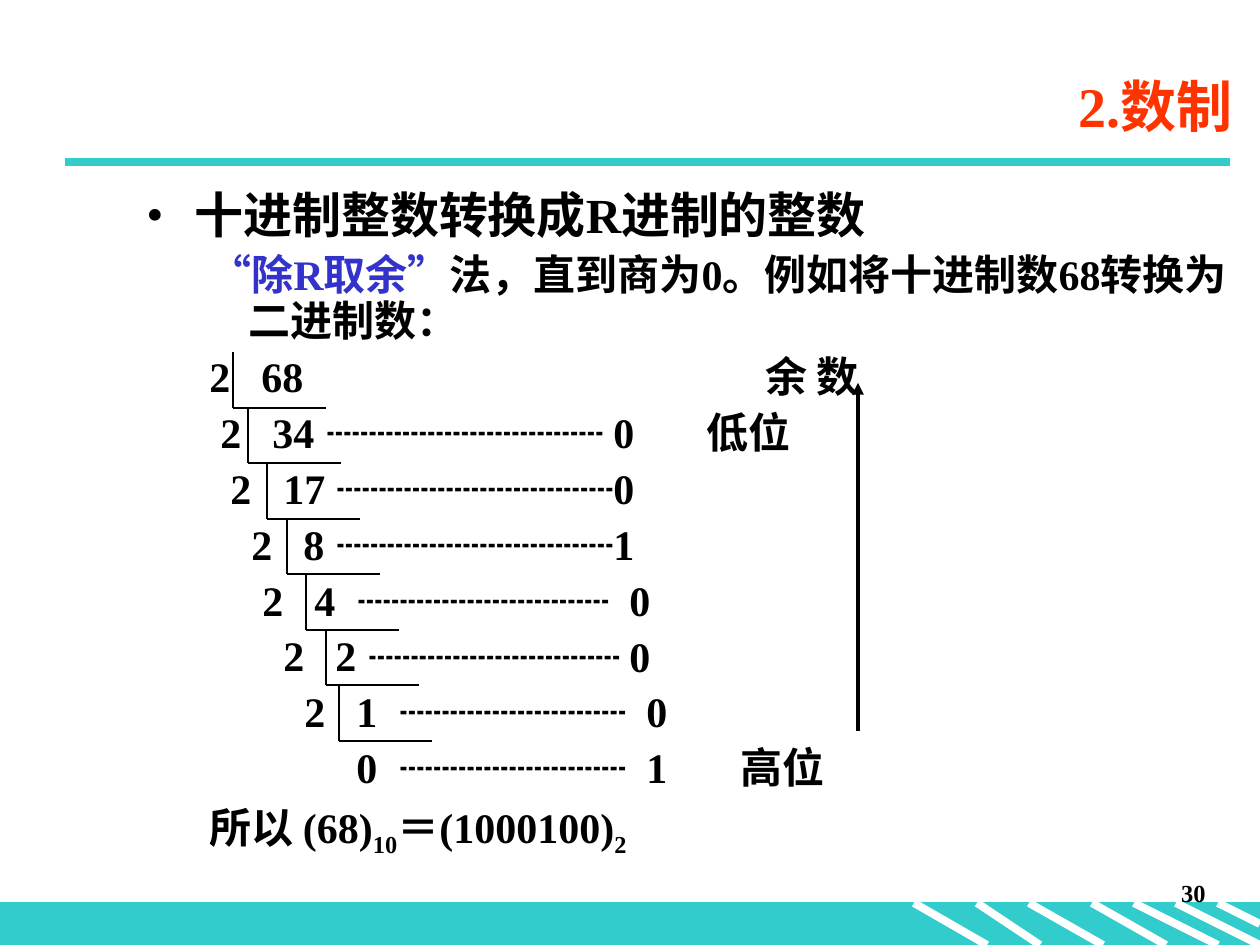
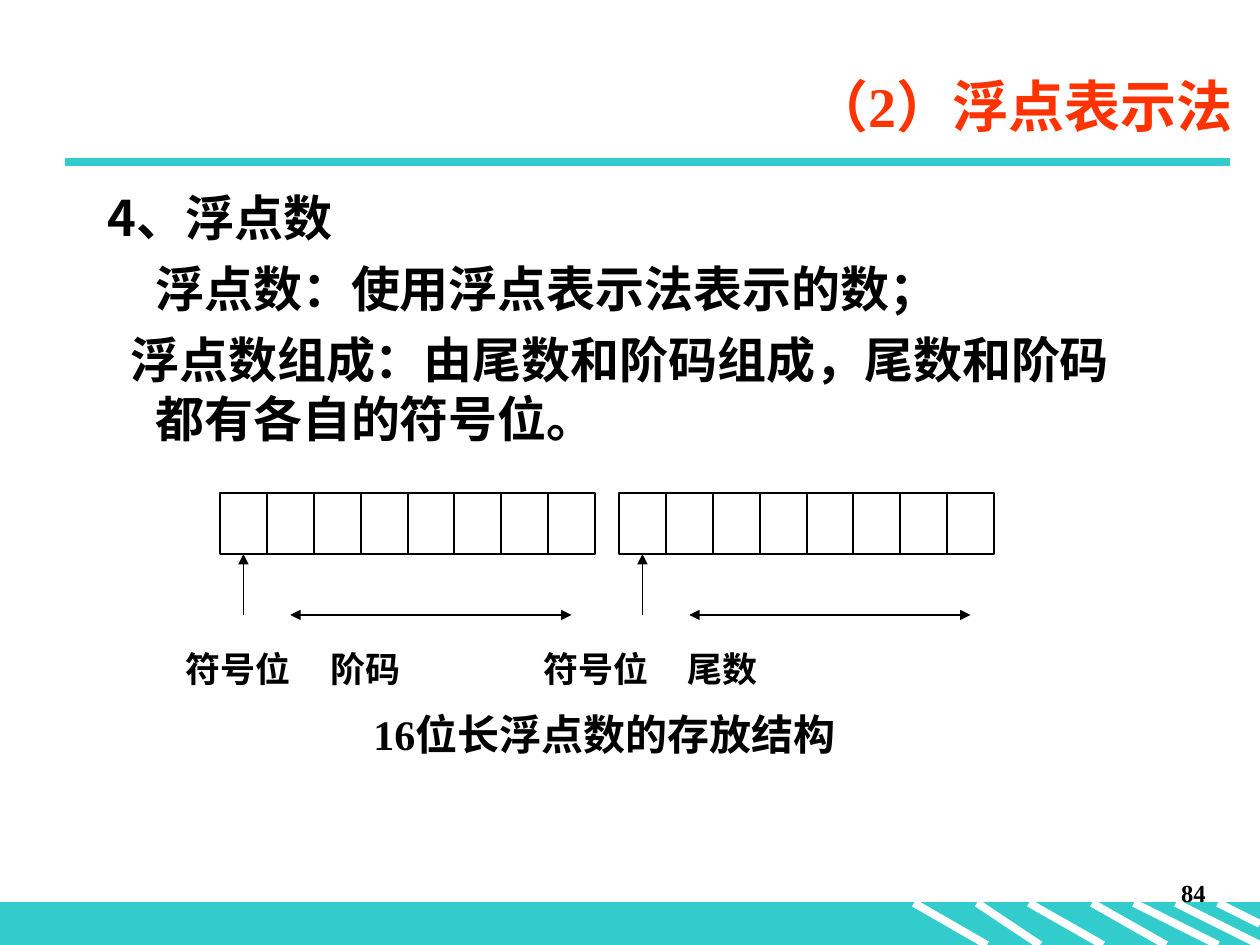
from dataclasses import dataclass

from lxml.etree import SubElement
from pptx import Presentation
from pptx.dml.color import RGBColor
from pptx.enum.shapes import MSO_CONNECTOR as CONN, MSO_SHAPE as SHAPE
from pptx.enum.text import MSO_ANCHOR as ANCHOR, PP_ALIGN as ALIGN
from pptx.oxml.ns import qn
from pptx.util import Pt

SCALE = 914400 / 126  # EMU per px


@dataclass(frozen=True)
class Theme:
    teal: str = "33CCCC"
    red: str = "FF3300"
    blue: str = "3333CC"
    black: str = "000000"
    white: str = "FFFFFF"
    latin: str = "Times New Roman"
    cjk: str = "Noto Sans CJK SC"
    title: int = 32
    head: int = 28
    body: int = 24
    label: int = 20
    page: int = 14


T = Theme()


def px(n):
    return round(n * SCALE)


def rgb(color):
    return RGBColor.from_string(color)


# Shared drawing helpers
def line(s, x1, y1, x2, y2, color=T.black, width=0.75, head=False, tail=False):
    c = s.shapes.add_connector(CONN.STRAIGHT, px(x1), px(y1), px(x2), px(y2))
    c.line.color.rgb, c.line.width = rgb(color), Pt(width)
    ln = c.line._get_or_add_ln()
    for tag, wanted in (("a:headEnd", head), ("a:tailEnd", tail)):
        if wanted:
            SubElement(ln, qn(tag), type="triangle")
    SubElement(c._element.spPr, qn("a:effectLst"))


def rect(s, x, y, w, h, fill, border):
    sp = s.shapes.add_shape(SHAPE.RECTANGLE, px(x), px(y), px(w), px(h))
    sp.shadow.inherit = False
    sp.fill.solid()
    sp.fill.fore_color.rgb = rgb(fill)
    sp.line.color.rgb, sp.line.width = rgb(border), Pt(0.75)


def para(*runs, **fmt):
    """A paragraph: runs are strings or (string, format) pairs."""
    return runs, fmt


def add_run(p, content, size, color=T.black, font=T.latin, asian=T.cjk, base=0):
    r = p.add_run()
    r.text = content
    r.font.size, r.font.bold, r.font.name = Pt(size), True, font
    r.font.color.rgb = rgb(color)
    rPr = r._r.get_or_add_rPr()
    SubElement(rPr, qn("a:ea"), typeface=asian)
    if base:
        rPr.set("baseline", str(base * 1000))


def text(s, box, paras, align=ALIGN.LEFT, anchor=ANCHOR.TOP, spacing=None, **font):
    tf = s.shapes.add_textbox(*map(px, box)).text_frame
    tf.word_wrap, tf.vertical_anchor = True, anchor
    for i, (runs, fmt) in enumerate(paras):
        p = tf.paragraphs[0] if i == 0 else tf.add_paragraph()
        p.alignment = align
        if spacing:
            p.line_spacing = spacing
        if i and "before" in fmt:
            p.space_before = Pt(fmt["before"])
        pPr = p._p.get_or_add_pPr()
        pPr.set("marL", str(px(fmt.get("left", 0))))
        pPr.set("indent", str(px(fmt.get("first", 0))))
        if "bullet" in fmt:
            SubElement(pPr, qn("a:buFont"), typeface=T.latin)
            SubElement(pPr, qn("a:buChar"), char=fmt["bullet"])
        for run in runs:
            content, extra = (run, {}) if isinstance(run, str) else run
            add_run(p, content, **{**font, "size": fmt.get("size", font["size"]), **extra})


# Parts every slide has
def footer_band(s, x, y, w, h):
    rect(s, x, y, w, h, T.teal, T.teal)
    stripes = [(914, 987), (977, 1040), (1029, 1103), (1092, 1166), (1134, 1218), (1176, 1260)]
    for top, bottom in stripes:
        line(s, x + top, y, x + bottom, y + h, T.white, 4.5)
    line(s, x + 1218, y, x + w, y + h // 2, T.white, 4.5)


def new_slide(prs, title, page):
    s = prs.slides.add_slide(prs.slide_layouts[6])
    footer_band(s, 0, 903, 1260, 42)
    line(s, 65, 162, 1230, 162, T.teal, 4.5)
    text(s, (955, 872, 263, 63), [para(page)], align=ALIGN.RIGHT, size=T.page)
    text(s, (174, 55, 1071, 100), [para(title)], align=ALIGN.RIGHT, anchor=ANCHOR.MIDDLE,
         size=T.title, color=T.red)
    return s


# Slide: number systems
def method_text(s, x, y, w, h):
    text(s, (x, y, w, h), [
        para("十进制整数转换成R进制的整数", left=48, first=-48, bullet="•", size=T.head),
        para(("“除R取余”", {"color": T.blue}),
             "法，直到商为0。例如将十进制数68转换为二进制数：",
             left=102, first=-39, before=6),
    ], spacing=0.9, size=T.body)


def division_table(s, x, y):
    pitch = 55.86  # row height in px, 31.92 pt

    def column(row, w, entries, **font):
        """Entries are (offset from x, text), one on each row from the given one."""
        text(s, (x, y + round(row * pitch), w, round(len(entries) * pitch) + 13),
             [para(content, left=left) for left, content in entries],
             spacing=Pt(31.92), size=T.body, **font)

    column(0, 160, [(left, "2") for left in (0, 11, 21, 42, 53, 74, 95)])
    column(0, 240, list(zip((52, 63, 74, 94, 105, 126, 147, 147),
                            ("68", "34", "17", "8", "4", "2", "1", "0"))))
    dashes = zip((117, 127, 127, 148, 159, 190, 190), (11, 11, 11, 10, 10, 9, 9))
    column(1, 480, [(left, "┄" * n) for left, n in dashes], asian=T.latin)
    column(1, 500, list(zip((404, 404, 404, 420, 420, 437, 437), "0010001")))
    for row, left, label in ((0, 556, "余 数"), (1, 497, "低位"), (7, 531, "高位")):
        column(row, 700, [(left, label)])


def division_ladder(s, x, y, h):
    offsets = [0, 15, 34, 54, 73, 93, 106]
    levels = [y + round(i * h / len(offsets)) for i in range(len(offsets) + 1)]
    for dx, top, bottom in zip(offsets, levels, levels[1:]):
        line(s, x + dx, top, x + dx, bottom, width=1.5)
        line(s, x + dx, bottom, x + dx + 93, bottom, width=1.5)


def number_systems(prs):
    s = new_slide(prs, "2.数制", "30")
    method_text(s, 134, 185, 1126, 165)
    division_table(s, 197, 339)
    text(s, (197, 796, 700, 60),
         [para("所以 (68)", ("10", {"base": -25}), "＝(1000100)", ("2", {"base": -25}))],
         spacing=0.9, size=T.body)
    division_ladder(s, 233, 352, 389)
    line(s, 858, 383, 858, 731, width=2.25, head=True)  # reading order


# Slide: floating point
def bit_field(s, x, y, w, h, bits=8):
    edges = [x + round(i * w / bits) for i in range(bits + 1)]
    for left, right in zip(edges, edges[1:]):
        rect(s, left, y, right - left, h, T.white, T.black)
    half, below = w / bits / 2, y + 2 * h
    line(s, x + half, below, x + half, y + h, tail=True)  # sign bit
    line(s, x + 3 * half, below, x + w - half, below, head=True, tail=True)


def floating_point(prs):
    s = new_slide(prs, "（2）浮点表示法", "84")
    text(s, (95, 181, 1071, 290), [
        para("4、浮点数", left=48, first=-48),
        para("浮点数：使用浮点表示法表示的数；", left=48, before=7),
        para("浮点数组成：由尾数和阶码组成，尾数和阶码都有各自的符号位。",
             left=48, first=-25, before=7),
    ], size=T.head, font=T.cjk)
    for x in (220, 619):
        bit_field(s, x, 493, 375, 61)
    for x, label in ((173, "符号位"), (318, "阶码"), (531, "符号位"), (675, "尾数")):
        text(s, (x, 641, 140, 60), [para(label)], size=T.label)
    text(s, (361, 702, 492, 113), [para("16位长浮点数的存放结构")],
         align=ALIGN.JUSTIFY, size=T.body)


def main():
    prs = Presentation()
    prs.slide_width, prs.slide_height = px(1260), px(945)
    number_systems(prs)
    floating_point(prs)
    prs.save("out.pptx")


if __name__ == "__main__":
    main()
